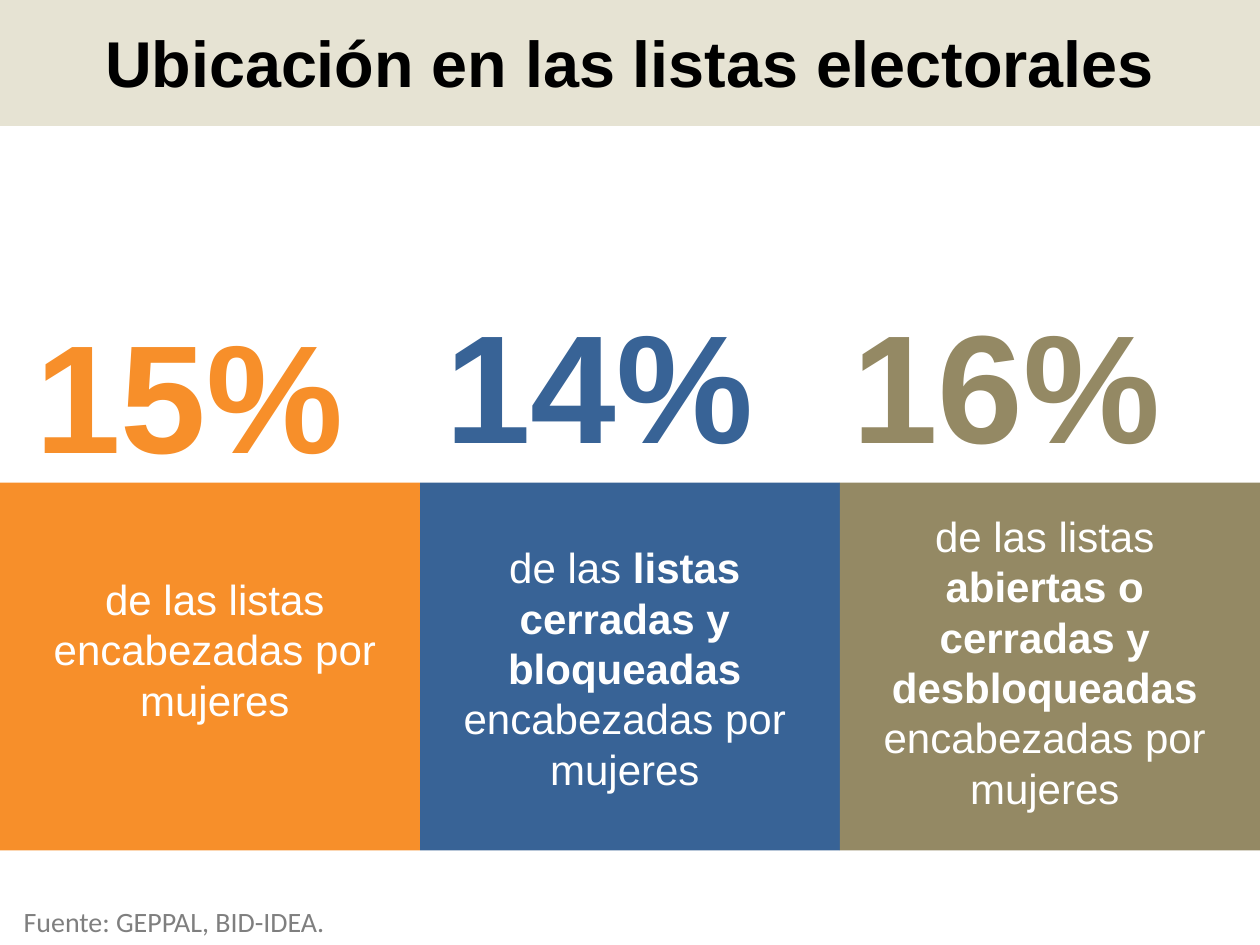
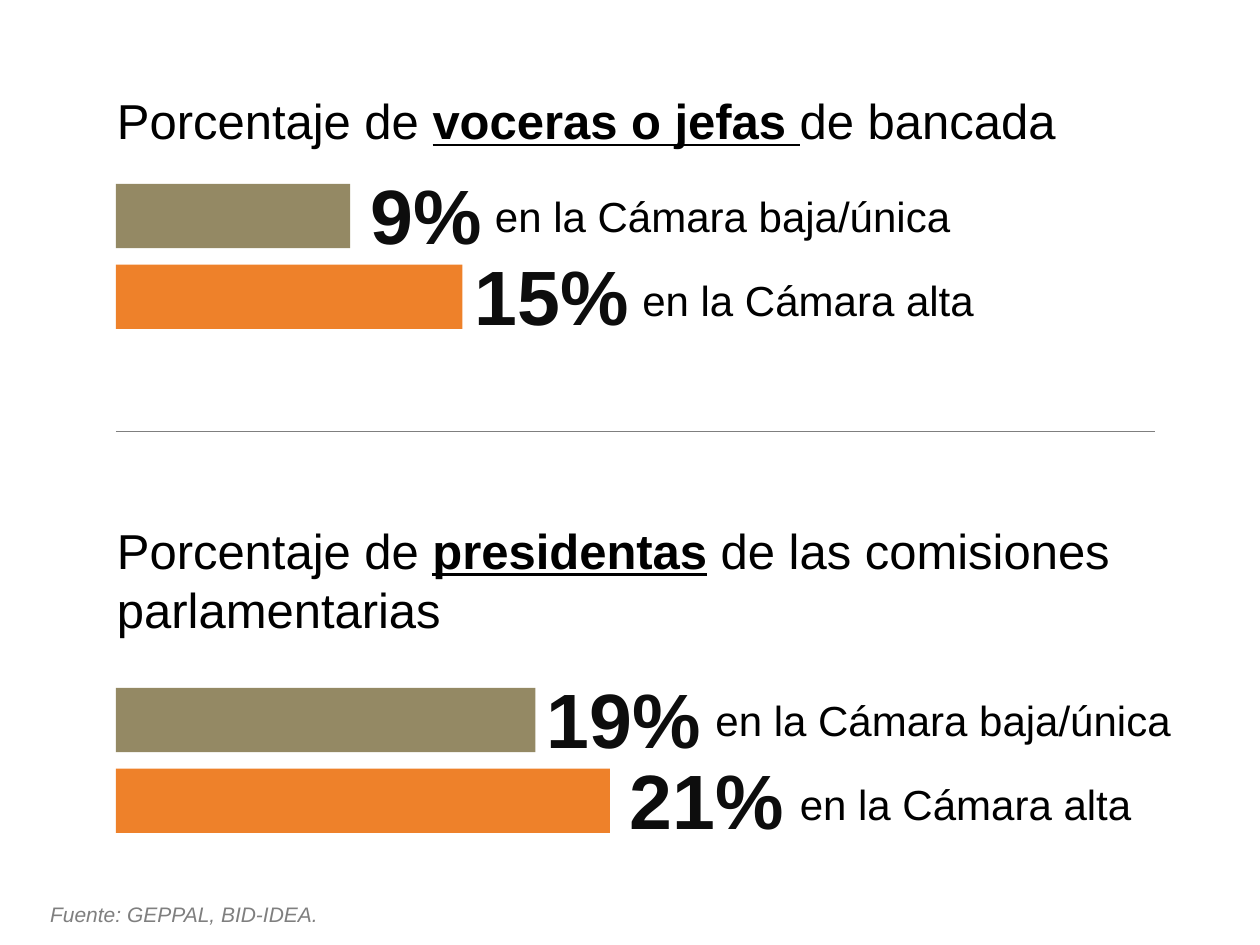
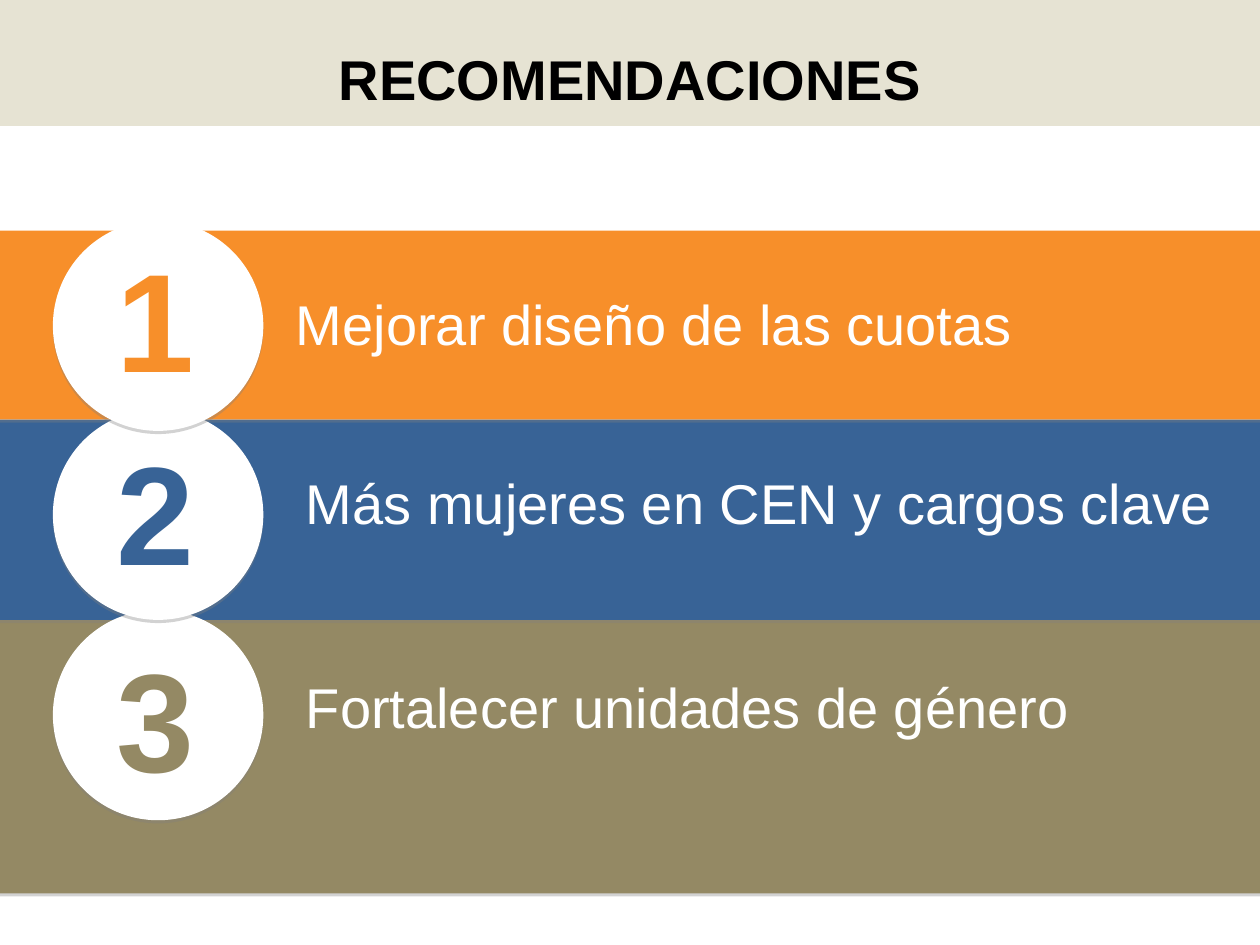
from lxml import etree
from pptx import Presentation
from pptx import util as u
from pptx.dml.color import RGBColor
from pptx.enum import shapes, text
from pptx.oxml import ns

COLORS = {
    "orange": "F78F2A", "bar_orange": "EE812A", "blue": "386396", "olive": "948964",
    "band": "D6D1B7", "white": "FFFFFF", "black": "000000", "ink": "0D0D0D",
    "gray": "7F7F7F", "shadow": "808080",
}
FONT = "Arial"
TITLE_ONLY, BLANK = 5, 6
SOURCE = "Fuente: GEPPAL, BID-IDEA."


def rgb(name):
    """Return the named colour."""
    return RGBColor.from_string(COLORS[name])


def add_alpha(color_element, percent):
    """Give a colour element an opacity."""
    alpha = etree.SubElement(color_element, ns.qn("a:alpha"))
    alpha.set("val", str(percent * 1000))


def add_box(slide, box, color, kind=shapes.MSO_SHAPE.RECTANGLE, shadow=False):
    """Draw a filled shape without outline, with a soft drop shadow if asked."""
    shape = slide.shapes.add_shape(kind, *map(u.Inches, box))
    shape.shadow.inherit = False
    shape.fill.solid()
    shape.fill.fore_color.rgb = rgb(color)
    shape.line.fill.background()
    if shadow:
        effects = shape._element.spPr.find(ns.qn("a:effectLst"))
        outer = etree.SubElement(effects, ns.qn("a:outerShdw"), blurRad="0",
                                 dist=str(u.Pt(1.8)), dir="5400000", rotWithShape="0")
        add_alpha(etree.SubElement(outer, ns.qn("a:srgbClr"), val=COLORS["shadow"]), 35)
    return shape


def write(shape, pieces, size, color, align=text.PP_ALIGN.LEFT, bold=False, italic=False,
          underline=False, font=FONT, spacing=None):
    """Fill a shape with one paragraph; every second piece is emphasised."""
    frame = shape.text_frame
    frame.word_wrap = True
    frame.vertical_anchor = text.MSO_ANCHOR.TOP
    paragraph = frame.paragraphs[0]
    paragraph.alignment = align
    paragraph.line_spacing = spacing
    for index, piece in enumerate(pieces):
        strong = index % 2 == 1
        run = paragraph.add_run()
        run.text = piece
        run.font.name = font
        run.font.size = u.Pt(size)
        run.font.color.rgb = rgb(color)
        run.font.bold = bold or strong
        run.font.italic = italic
        run.font.underline = underline and strong


def add_text(slide, box, pieces, size, color, **style):
    """Add a text box with one paragraph."""
    write(slide.shapes.add_textbox(*map(u.Inches, box)), pieces, size, color, **style)


def add_title(slide, box, title, size):
    """Place the slide title over the pale top band."""
    shape = slide.shapes.title
    shape.left, shape.top, shape.width, shape.height = map(u.Inches, box)
    write(shape, [title], size, "black", align=text.PP_ALIGN.CENTER, bold=True)
    band = add_box(slide, (0, 0, 10, 1), "band")
    add_alpha(band._element.spPr.find(".//" + ns.qn("a:srgbClr")), 60)
    shape._element.addprevious(band._element)


def add_figure_column(slide, box, color, figure, figure_at, pieces, text_at):
    """Draw a coloured panel with a large figure above and a caption inside."""
    left, top, width, height = box
    add_box(slide, box, color)
    add_text(slide, (left + text_at[0], top + text_at[1], 3.25, height - 2 * text_at[1]),
             pieces, 24, "white", align=text.PP_ALIGN.CENTER)
    add_text(slide, (left + figure_at[0], top + figure_at[1], 2.98, 1.57),
             [figure], 88, color, bold=True)


def build_lists_slide(presentation):
    """Build the slide on the place of women in electoral lists."""
    slide = presentation.slides.add_slide(presentation.slide_layouts[TITLE_ONLY])
    add_title(slide, (0.5, 0.13, 9, 0.78), "Ubicación en las listas electorales", 37)
    columns = [
        ("orange", "15%", (0.18, -1.5), ["de las listas encabezadas por mujeres"], (0.08, 0.67)),
        ("blue", "14%", (0.1, -1.58),
         ["de las ", "listas cerradas y bloqueadas ", "encabezadas por mujeres"], (0, 0.42)),
        ("olive", "16%", (0, -1.58),
         ["de las listas ", "abiertas o cerradas y desbloqueadas ",
          "encabezadas por mujeres"], (0, 0.17)),
    ]
    width = 10 / len(columns)
    for index, column in enumerate(columns):
        add_figure_column(slide, (index * width, 3.83, width, 2.92), *column)
    add_text(slide, (0.09, 7.13, 2.8, 0.37), [SOURCE], 16, "gray", font="Calibri")


def add_bar_group(slide, box, bars_top, heading, bars):
    """Draw a heading and its two labelled bars."""
    left, top, width, height = box
    add_text(slide, box, heading, 28, "black", underline=True)
    labels = [("olive", "en la Cámara baja/única", 4.08),
              ("bar_orange", "en la Cámara alta", 3.33)]
    for index, (bar, label) in enumerate(zip(bars, labels)):
        length, value, value_left, label_left = bar
        color, caption, caption_width = label
        bar_top = top + bars_top + index * 0.64
        add_box(slide, (left + 0.09, bar_top, length, 0.51), color)
        add_text(slide, (value_left, bar_top - 0.25, 1.6, 0.91), [value], 44, "ink",
                 bold=True, spacing=1.1)
        add_text(slide, (label_left, bar_top + index * 0.03, caption_width, 0.58),
                 [caption], 24, "black")


def build_leadership_slide(presentation):
    """Build the slide on women leading benches and committees."""
    slide = presentation.slides.add_slide(presentation.slide_layouts[BLANK])
    add_bar_group(slide, (0.83, 0.67, 8.25, 0.71), 0.79,
                  ["Porcentaje de ", "voceras o jefas ", "de bancada"],
                  [(1.86, "9%", 2.84, 3.83), (2.75, "15%", 3.67, 5)])
    add_bar_group(slide, (0.83, 4.08, 8.5, 1.17), 1.38,
                  ["Porcentaje de ", "presidentas", " de las comisiones parlamentarias"],
                  [(3.33, "19%", 4.24, 5.58), (3.92, "21%", 4.9, 6.25)])
    divider = slide.shapes.add_connector(shapes.MSO_CONNECTOR.STRAIGHT,
                                         *map(u.Inches, (0.92, 3.42, 9.17, 3.42)))
    divider.line.color.rgb = rgb("gray")
    divider.line.width = u.Pt(0.25)
    etree.SubElement(divider._element.spPr, ns.qn("a:effectLst"))
    add_text(slide, (0.3, 7.11, 2.5, 0.3), [SOURCE], 12, "gray", italic=True)


def add_recommendation(slide, box, number, color, number_top, caption, caption_at):
    """Put a numbered disc and a caption on a stripe."""
    left, top, width, height = box
    add_box(slide, (left + 0.42, top - 0.08, 1.67, 1.67), "white",
            shapes.MSO_SHAPE.OVAL, shadow=True)
    add_text(slide, (left + 0.83, top + number_top, 1.08, 1.44), [str(number)], 80, color,
             bold=True)
    add_text(slide, (left + caption_at[0], top + caption_at[1],
                     width - caption_at[0], height - caption_at[1]), [caption], 32, "white")


def build_recommendations_slide(presentation):
    """Build the slide with the three recommendations."""
    slide = presentation.slides.add_slide(presentation.slide_layouts[TITLE_ONLY])
    add_title(slide, (0.5, 0.3, 9, 1.25), "RECOMENDACIONES", 32)
    rows = [
        ((0, 4.92, 10, 2.17), 3, "olive", 0.05, "Fortalecer unidades de género", (2.33, 0.37)),
        ((0, 3.33, 10, 1.59), 2, "blue", 0, "Más mujeres en CEN y cargos clave", (2.33, 0.34)),
        ((0, 1.83, 10, 1.5), 1, "orange", -0.03, "Mejorar diseño de las cuotas", (2.25, 0.42)),
    ]
    for box, number, color, *rest in rows:
        add_box(slide, box, color, shadow=True)
    for row in rows:
        add_recommendation(slide, *row)


def main():
    """Build and save the presentation."""
    presentation = Presentation()
    presentation.slide_width = u.Inches(10)
    presentation.slide_height = u.Inches(7.5)
    build_lists_slide(presentation)
    build_leadership_slide(presentation)
    build_recommendations_slide(presentation)
    presentation.save("out.pptx")


if __name__ == "__main__":
    main()
